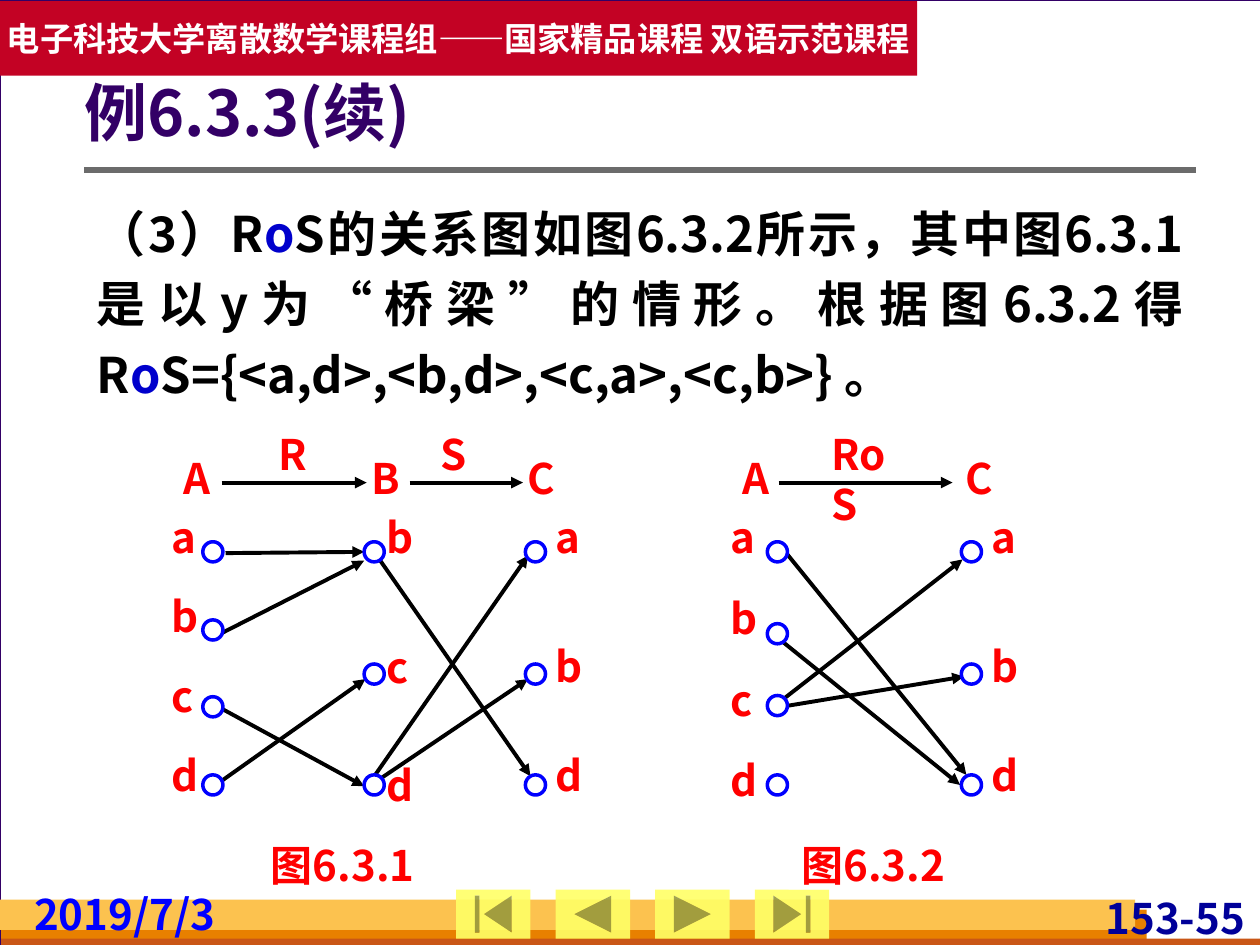
from pptx import Presentation
from pptx.dml.color import RGBColor
from pptx.enum.shapes import MSO_CONNECTOR, MSO_SHAPE
from pptx.enum.text import MSO_ANCHOR, MSO_AUTO_SIZE, PP_ALIGN
from pptx.oxml.ns import qn
from pptx.util import Inches, Pt
from lxml.etree import SubElement

HUES = {
    "back": "D8DADA", "white": "FFFFFF", "black": "000000", "purple": "330066",
    "banner": "C30224", "orange": "E88000", "rust": "C95616", "gold": "FCC24F",
    "navy": "000099", "gray": "6B6B6B", "yellow": "FFFF66", "blue": "0000FF",
    "ink": "0000CC", "red": "FF0000",
}
FACE = "Noto Sans CJK SC"


def hue(name):
    return RGBColor.from_string(HUES[name])


class Board:
    """Holds the style and the current slide; lengths are in inches."""

    def __init__(self, slide):
        self.slide = slide
        self.shapes = slide.shapes

    def shape(self, kind, x, y, w, h, fill, line=None, weight=1, alpha=None):
        item = self.shapes.add_shape(kind, Inches(x), Inches(y), Inches(w), Inches(h))
        item.shadow.inherit = False
        item.fill.solid()
        item.fill.fore_color.rgb = hue(fill)
        if alpha:
            tint = item._element.spPr.find(".//" + qn("a:srgbClr"))
            SubElement(tint, qn("a:alpha")).set("val", str(alpha * 1000))
        if line:
            item.line.color.rgb = hue(line)
            item.line.width = Pt(weight)
        else:
            item.line.fill.background()
        return item

    def letter(self, item, runs, size, color, align, pads=(0, 0, 0, 0),
               anchor=MSO_ANCHOR.TOP, wrap=True, grow=True, gap=None):
        """Fill an item with one paragraph of (text, colour or None) runs."""
        frame = item.text_frame
        frame.word_wrap = wrap
        frame.vertical_anchor = anchor
        frame.auto_size = MSO_AUTO_SIZE.SHAPE_TO_FIT_TEXT if grow else MSO_AUTO_SIZE.NONE
        (frame.margin_left, frame.margin_top,
         frame.margin_right, frame.margin_bottom) = map(Inches, pads)
        para = frame.paragraphs[0]
        para.alignment = align
        if gap:
            para.line_spacing = gap
        font = para.font
        font.size, font.bold, font.name = Pt(size), True, FACE
        font.color.rgb = hue(color)
        base = para._p.pPr.find(qn("a:defRPr"))
        SubElement(base, qn("a:ea")).set("typeface", FACE)
        for words, tint in runs:
            run = para.add_run()
            run.text = words
            if tint:
                run.font.color.rgb = hue(tint)

    def text(self, x, y, w, h, runs, size, color, align, **more):
        item = self.shapes.add_textbox(Inches(x), Inches(y), Inches(w), Inches(h))
        self.letter(item, runs, size, color, align, **more)

    def label(self, words, x, y, w=0.28):
        self.text(x, y, w, 0.4, [(words, None)], 24, "red", PP_ALIGN.JUSTIFY)

    def plate(self, words, x, y, w, align=PP_ALIGN.JUSTIFY):
        item = self.shape(MSO_SHAPE.RECTANGLE, x, y, w, 0.4, "white")
        self.letter(item, [(words, None)], 24, "red", align)

    def line(self, x1, y1, x2, y2, color="black", weight=2.25, head=True):
        item = self.shapes.add_connector(
            MSO_CONNECTOR.STRAIGHT, Inches(x1), Inches(y1), Inches(x2), Inches(y2))
        item.line.color.rgb = hue(color)
        item.line.width = Pt(weight)
        if head:
            stroke = item._element.spPr.find(qn("a:ln"))
            SubElement(stroke, qn("a:tailEnd")).set("type", "triangle")
        SubElement(item._element.spPr, qn("a:effectLst"))

    def graph(self, sets, plates, nodes, edges, title):
        """Draw a relation graph: labels, then arrows, then rings on top."""
        for words, x, w in plates:
            self.plate(words, x, 3.4, w)
        for words, x in sets:
            self.label(words, x, 3.59, 0.26)
        for ring, left, names in nodes:
            for name, y, top in names:
                self.label(name, left, top)
        for edge in edges:
            self.line(*edge)
        for ring, left, names in nodes:
            for name, y, top in names:
                self.shape(MSO_SHAPE.OVAL, ring, y, 0.16, 0.16, "white", "blue", 2)
        words, x, w = title
        self.plate(words, x, 6.66, w, PP_ALIGN.CENTER)


def main():
    deck = Presentation()
    deck.slide_width, deck.slide_height = Inches(10), Inches(7.5)
    slide = deck.slides.add_slide(deck.slide_layouts[6])
    slide.background.fill.solid()
    slide.background.fill.fore_color.rgb = hue("back")
    board = Board(slide)

    # Page frame, banner and footer bands
    board.shape(MSO_SHAPE.RECTANGLE, 0, 0, 10.01, 7.5, "white", "purple", 0.75)
    banner = board.shape(MSO_SHAPE.RECTANGLE, 0, 0.01, 7.28, 0.59, "banner")
    board.letter(banner, [("电子科技大学离散数学课程组——国家精品课程 双语示范课程", None)],
                 19, "white", PP_ALIGN.CENTER, pads=(0.1, 0.05, 0.1, 0.05),
                 anchor=MSO_ANCHOR.MIDDLE, wrap=False, grow=False)
    for x, y, w, h, fill in [(0.01, 7.22, 9.09, 0.28, "orange"),
                             (0.01, 7.45, 10, 0.08, "rust"),
                             (0, 7.14, 9.01, 0.24, "gold")]:
        board.shape(MSO_SHAPE.RECTANGLE, x, y, w, h, fill)
    board.line(0.67, 1.35, 9.49, 1.35, "gray", 3, head=False)

    # Navigation buttons, page number and date
    keys = [MSO_SHAPE.ACTION_BUTTON_BEGINNING, MSO_SHAPE.ACTION_BUTTON_BACK_OR_PREVIOUS,
            MSO_SHAPE.ACTION_BUTTON_FORWARD_OR_NEXT, MSO_SHAPE.ACTION_BUTTON_END]
    for i, kind in enumerate(keys):
        board.shape(kind, 3.62 + 0.79 * i, 7.06, 0.59, 0.39, "yellow", alpha=90)
    side = (0.04, 0, 0.04, 0)
    board.text(8.47, 7.08, 1.45, 0.4, [("153-55", None)], 24, "navy",
               PP_ALIGN.RIGHT, pads=side)
    board.text(0.23, 7.05, 1.65, 0.4, [("2019/7/3", None)], 24, "blue",
               PP_ALIGN.LEFT, pads=side)

    # Title and body
    board.text(0.67, 0.6, 8.82, 0.64, [("例6.3.3(续)", None)], 36, "purple",
               PP_ALIGN.LEFT, pads=(0, 0.05, 0.1, 0.05),
               anchor=MSO_ANCHOR.MIDDLE, gap=0.9)
    board.text(0.67, 1.47, 8.82, 1.78, [
        ("（3）R", None), ("ο", "ink"),
        ("S的关系图如图6.3.2所示，其中图6.3.1是以y为“桥梁”的情形。根据图6.3.2得R", None),
        ("ο", "ink"), ("S={<a,d>,<b,d>,<c,a>,<c,b>} 。", None),
    ], 28, "black", PP_ALIGN.JUSTIFY, pads=(0.1, 0.05, 0.1, 0.05), gap=1.2)

    # Names with ring top and label top; the last column is shared
    last = [("a", 4.3, 4.06), ("b", 5.27, 5.08), ("d", 6.15, 5.95)]

    # Left graph: R followed by S
    board.graph(
        sets=[("A", 1.46), ("B", 2.95), ("C", 4.19)],
        plates=[("R", 2.21, 0.24), ("S", 3.5, 0.24)],
        nodes=[
            (1.61, 1.36, [("a", 4.3, 4.06), ("b", 4.92, 4.69),
                          ("c", 5.53, 5.32), ("d", 6.15, 5.95)]),
            (2.89, 3.07, [("b", 4.3, 4.06), ("c", 5.27, 5.09), ("d", 6.15, 6.03)]),
            (4.17, 4.41, last),
        ],
        edges=[(1.76, 3.83, 2.91, 3.83), (3.25, 3.83, 4.15, 3.83),
               (1.79, 4.39, 2.89, 4.38), (1.73, 5.04, 2.89, 4.45),
               (1.77, 5.63, 2.89, 6.24), (1.77, 6.19, 2.9, 5.39),
               (2.97, 4.38, 4.21, 6.16), (2.96, 6.22, 4.19, 5.39),
               (2.95, 6.19, 4.19, 4.41)],
        title=("图6.3.1", 2.01, 1.42))

    # Right graph: the composition
    board.graph(
        sets=[("A", 5.89), ("C", 7.66)],
        plates=[("RoS", 6.6, 0.61)],
        nodes=[
            (6.09, 5.8, [("a", 4.3, 4.06), ("b", 4.95, 4.7),
                         ("c", 5.52, 5.35), ("d", 6.15, 5.99)]),
            (7.63, 7.87, last),
        ],
        edges=[(6.18, 3.83, 7.56, 3.83), (6.2, 4.34, 7.67, 6.15),
               (6.17, 5.06, 7.62, 6.23), (6.19, 5.57, 7.64, 4.44),
               (6.2, 5.61, 7.65, 5.37)],
        title=("图6.3.2", 6.26, 1.34))

    deck.save("out.pptx")


if __name__ == "__main__":
    main()
